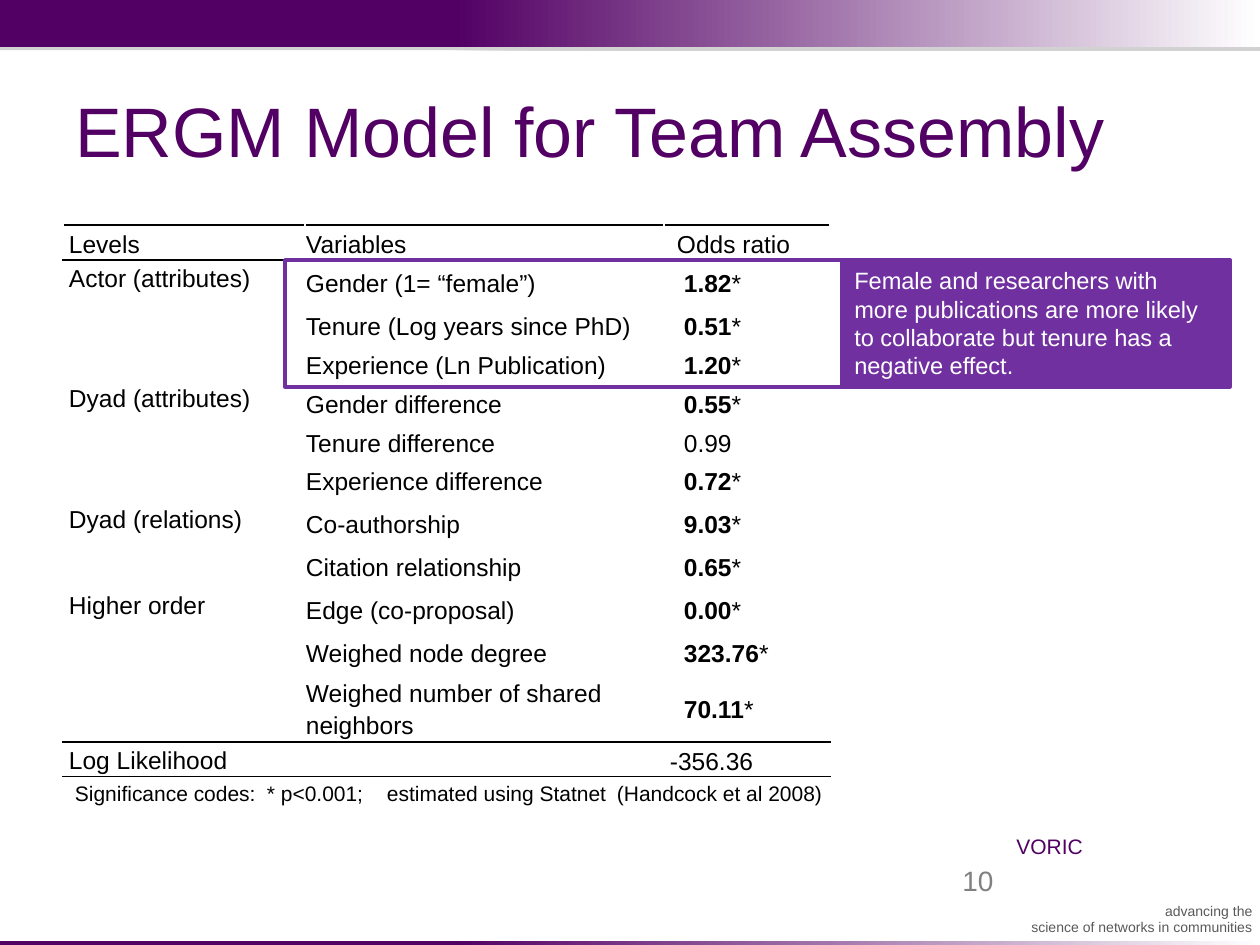
from copy import deepcopy
from dataclasses import dataclass

from lxml import etree
from pptx import Presentation
from pptx.dml.color import RGBColor
from pptx.enum.shapes import MSO_SHAPE
from pptx.enum.text import MSO_ANCHOR, PP_ALIGN
from pptx.oxml.ns import qn
from pptx.util import Emu, Pt

RECTANGLE = MSO_SHAPE.RECTANGLE
TOP, MIDDLE = MSO_ANCHOR.TOP, MSO_ANCHOR.MIDDLE
LEFT, RIGHT = PP_ALIGN.LEFT, PP_ALIGN.RIGHT
PX_PER_INCH = 126


@dataclass(frozen=True)
class Theme:
    """Colours, font and type sizes of the slide."""
    font: str = "Arial"
    brand: str = "520064"
    accent: str = "7030A0"
    ink: str = "000000"
    paper: str = "FFFFFF"
    shade: str = "808080"
    muted: str = "595959"
    title_size: float = 40
    number_size: float = 16
    body_size: float = 14
    callout_size: float = 13.5
    note_size: float = 12
    tagline_size: float = 8


THEME = Theme()
HEADINGS = ("Levels", "Variables", "Odds ratio")
GROUPS = (
    ("Actor (attributes)", (("Gender (1= “female”)", "1.82*"),
                            ("Tenure (Log years since PhD)", "0.51*"),
                            ("Experience (Ln Publication)", "1.20*"))),
    ("Dyad (attributes)", (("Gender difference", "0.55*"),
                           ("Tenure difference", "0.99"),
                           ("Experience difference", "0.72*"))),
    ("Dyad (relations)", (("Co-authorship", "9.03*"),
                          ("Citation relationship", "0.65*"))),
    ("Higher order", (("Edge (co-proposal)", "0.00*"),
                      ("Weighed node degree", "323.76*"),
                      ("Weighed number of shared neighbors", "70.11*"))),
)
SUMMARY = ("Log Likelihood", "", "-356.36")
NOTE = "Significance codes:\t* p<0.001;\testimated using Statnet\t(Handcock et al 2008)"
NOTE_TABS = (192, 312, 542)
COLUMN_WIDTHS = (242, 359, 166)
ROW_HEIGHTS = (34, 43, 43, 34, 43, 34, 43, 43, 43, 43, 43, 67, 34, 30)
RULED_EDGES = (0, 1, 12, 13)


def px(length):
    """Turn pixels into EMU."""
    return Emu(round(length * 914400 / PX_PER_INCH))


def format_runs(paragraph, size, color):
    """Give every run of a paragraph the theme font, a size and a colour."""
    for run in paragraph.runs:
        run.font.name = THEME.font
        run.font.size = Pt(size)
        run.font.color.rgb = RGBColor.from_string(color)


def add_text(slide, box, text, size, color, align=LEFT, anchor=TOP, wrap=True):
    """Place a text box."""
    text_frame = slide.shapes.add_textbox(*map(px, box)).text_frame
    text_frame.word_wrap = wrap
    text_frame.vertical_anchor = anchor
    text_frame.text = text
    for paragraph in text_frame.paragraphs:
        paragraph.alignment = align
        format_runs(paragraph, size, color)


def add_band(slide, box):
    """Place a shadowed bar that fades from the brand colour to the paper."""
    shape = slide.shapes.add_shape(RECTANGLE, *map(px, box))
    shape.line.fill.background()
    shape.fill.gradient()
    properties = shape.element.spPr
    stop_list = properties.find(".//" + qn("a:gsLst"))
    stop_list.insert(1, deepcopy(stop_list[0]))
    colors = (THEME.brand, THEME.brand, THEME.paper)
    for stop, position, color in zip(shape.fill.gradient_stops, (0, 0.36, 1), colors):
        stop.position = position
        stop.color.rgb = RGBColor.from_string(color)
    shape.fill.gradient_angle = 0
    shape.shadow.inherit = False
    shadow = etree.SubElement(properties.find(qn("a:effectLst")), qn("a:outerShdw"),
                              dist=str(Pt(1.8)), dir="5400000", rotWithShape="0")
    color = etree.SubElement(shadow, qn("a:srgbClr"), val=THEME.shade)
    etree.SubElement(color, qn("a:alpha"), val="35000")


def add_border(cell, edge):
    """Rule one edge of a cell."""
    line = etree.Element(qn("a:" + edge), w=str(Pt(1)))
    fill = etree.SubElement(line, qn("a:solidFill"))
    etree.SubElement(fill, qn("a:srgbClr"), val=THEME.ink)
    cell._tc.get_or_add_tcPr().insert(0, line)


def fill_cell(cell, text, size=THEME.body_size, indent=6, anchor=MIDDLE):
    """Write a cell, with starred values in bold."""
    cell.margin_left, cell.margin_right = px(indent), px(1)
    cell.margin_top, cell.margin_bottom = px(1), 0
    cell.vertical_anchor = anchor
    starred = text.endswith("*")
    paragraph = cell.text_frame.paragraphs[0]
    paragraph.text = text.rstrip("*")
    paragraph.line_spacing = 1.15
    if starred:
        paragraph.runs[0].font.bold = True
        paragraph.add_run().text = "*"
    format_runs(paragraph, size, THEME.ink)
    if not text:
        etree.SubElement(paragraph._p, qn("a:endParaRPr"), sz=str(size * 100))


def add_note_tabs(paragraph):
    """Set the tab stops of the significance note."""
    tab_list = etree.SubElement(paragraph._p.get_or_add_pPr(), qn("a:tabLst"))
    for position in NOTE_TABS:
        etree.SubElement(tab_list, qn("a:tab"), pos=str(px(position)), algn="l")


def add_model_table(slide, left, top):
    """Place the table of variables and odds ratios."""
    row_count, column_count = len(ROW_HEIGHTS), len(COLUMN_WIDTHS)
    box = (left, top, sum(COLUMN_WIDTHS), sum(ROW_HEIGHTS))
    table = slide.shapes.add_table(row_count, column_count, *map(px, box)).table
    table.first_row = table.horz_banding = False
    for column, width in zip(table.columns, COLUMN_WIDTHS):
        column.width = px(width)
    for row, height in zip(table.rows, ROW_HEIGHTS):
        row.height = px(height)

    rows, anchors, first = [HEADINGS], {row_count - 2: TOP}, 1
    for level, variables in GROUPS:
        last = first + len(variables) - 1
        table.cell(first, 0).merge(table.cell(last, 0))
        anchors[first] = TOP
        for index, (variable, ratio) in enumerate(variables):
            rows.append((level if index == 0 else "", variable, ratio))
        first = last + 1
    rows += [SUMMARY, (NOTE, "", "")]
    table.cell(row_count - 1, 0).merge(table.cell(row_count - 1, column_count - 1))

    for row, texts in enumerate(rows):
        ratio_indent = {0: 13, row_count - 2: 6}.get(row, 20)
        for column, text in enumerate(texts):
            cell = table.cell(row, column)
            indent = (6, 1, ratio_indent)[column]
            if row == row_count - 1:
                fill_cell(cell, text, THEME.note_size, 12)
            else:
                anchor = anchors.get(row, MIDDLE) if column == 0 else MIDDLE
                fill_cell(cell, text, indent=indent, anchor=anchor)
            cell.fill.background()
            height = cell.span_height if cell.is_merge_origin else 1
            if row + height in RULED_EDGES:
                add_border(cell, "lnB")
            if row in RULED_EDGES:
                add_border(cell, "lnT")
    add_note_tabs(table.cell(row_count - 1, 0).text_frame.paragraphs[0])


def add_callout(slide, left, top, height, text):
    """Frame the actor rows and explain them in a filled box beside the table."""
    frame = slide.shapes.add_shape(RECTANGLE, *map(px, (left, top, 918, height)))
    frame.fill.background()
    callout = slide.shapes.add_shape(RECTANGLE, *map(px, (left + 557, top, 388, height)))
    callout.fill.solid()
    callout.fill.fore_color.rgb = RGBColor.from_string(THEME.accent)
    for shape in (frame, callout):
        shape.shadow.inherit = False
        shape.line.color.rgb = RGBColor.from_string(THEME.accent)
        shape.line.width = Pt(2)
    text_frame = callout.text_frame
    text_frame.word_wrap = True
    text_frame.vertical_anchor = TOP
    text_frame.text = text
    text_frame.paragraphs[0].alignment = LEFT
    format_runs(text_frame.paragraphs[0], THEME.callout_size, THEME.paper)


def add_footer(slide, left, top):
    """Place the group name, page number and tagline."""
    add_text(slide, (left, top, 228, 38), "VORIC", THEME.note_size, THEME.brand)
    add_text(slide, (left, top + 69, 261, 47),
             "advancing the\nscience of networks in communities",
             THEME.tagline_size, THEME.muted, RIGHT)
    add_text(slide, (left - 54, top + 30, 60, 47), "10",
             THEME.number_size, THEME.shade, wrap=False)


def main():
    """Build and save the slide."""
    presentation = Presentation()
    presentation.slide_width, presentation.slide_height = px(1260), px(945)
    slide = presentation.slides.add_slide(presentation.slide_layouts[6])
    add_band(slide, (0, 0, 1260, 47))
    add_band(slide, (0, 941, 1260, 6))
    add_footer(slide, 1004, 827)
    add_text(slide, (63, 38, 1134, 183), "ERGM Model for Team Assembly",
             THEME.title_size, THEME.brand, anchor=MIDDLE)
    add_model_table(slide, 63, 225)
    add_callout(slide, 285, 260, 127,
                "Female and researchers with more publications are more likely to "
                "collaborate but tenure has a negative effect.")
    presentation.save("out.pptx")


if __name__ == "__main__":
    main()
